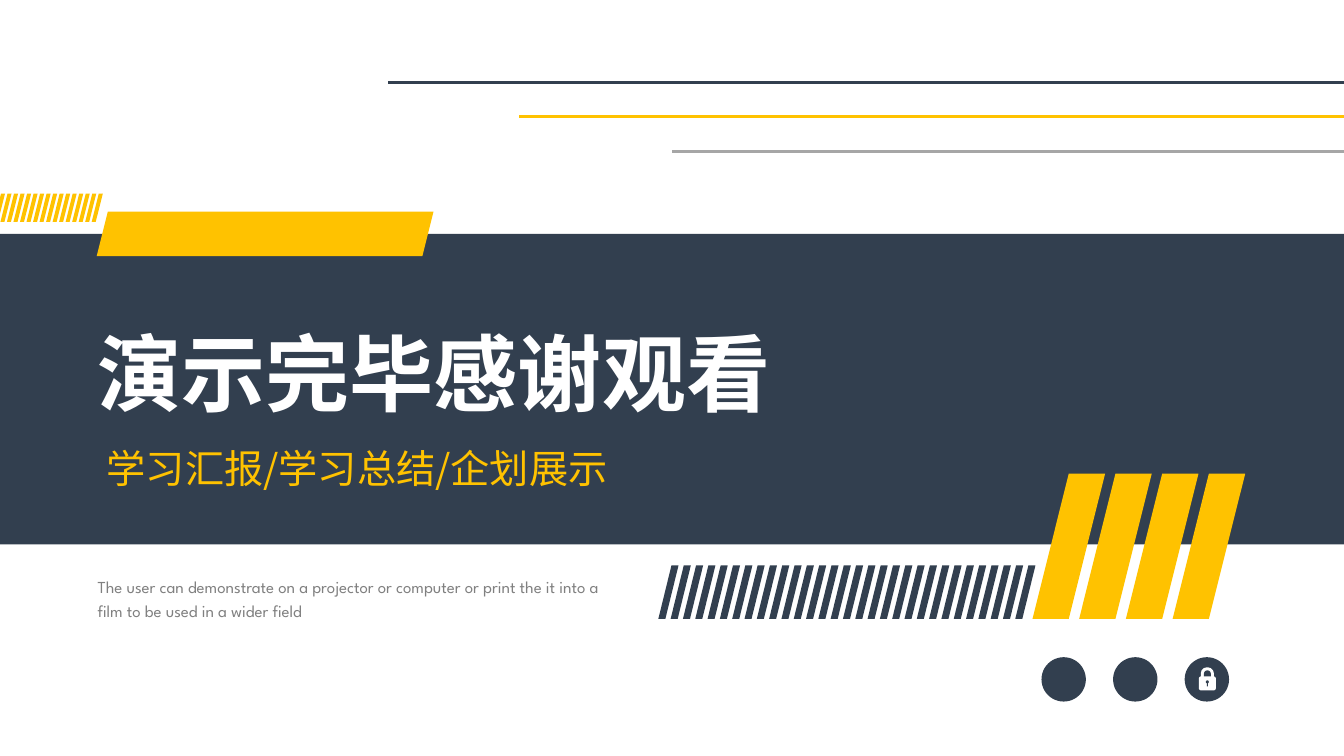
import pptx
import pptx.dml.color
import pptx.enum.shapes
import pptx.enum.text
import pptx.oxml
import pptx.oxml.ns
import pptx.util

Inches = pptx.util.Inches
Pt = pptx.util.Pt
RGBColor = pptx.dml.color.RGBColor
SHAPE = pptx.enum.shapes.MSO_SHAPE
ALIGN = pptx.enum.text.PP_ALIGN

NAVY = RGBColor(0x32, 0x3F, 0x4F)
YELLOW = RGBColor(0xFF, 0xC2, 0x00)
GRAY = RGBColor(0xA6, 0xA6, 0xA6)
TEXT_GRAY = RGBColor(0x80, 0x80, 0x80)
WHITE = RGBColor(0xFF, 0xFF, 0xFF)

SLIDE_WIDTH = 13.33
SLIDE_HEIGHT = 7.5
CHINESE_FONT = "Noto Sans CJK SC"
LATIN_FONT = "League Spartan"


def add_filled_shape(slide, kind, box, color):
    shape = slide.shapes.add_shape(kind, *map(Inches, box))
    shape.shadow.inherit = False
    shape.fill.solid()
    shape.fill.fore_color.rgb = color
    shape.line.fill.background()
    return shape


def add_rule(slide, left, top, color):
    connector = slide.shapes.add_connector(
        pptx.enum.shapes.MSO_CONNECTOR.STRAIGHT,
        Inches(left), Inches(top), Inches(SLIDE_WIDTH), Inches(top))
    connector.line.color.rgb = color
    connector.line.width = Pt(2.25)
    properties = connector._element.spPr
    properties.append(pptx.oxml.parse_xml(
        f"<a:effectLst {pptx.oxml.ns.nsdecls('a')}/>"))


def add_stripes(slide, box, count, stripe_width, slant, color):
    left, top, width, height = box
    pitch = (width - stripe_width) / (count - 1)
    for index in range(count):
        stripe_box = (left + index * pitch, top, stripe_width, height)
        stripe = add_filled_shape(slide, SHAPE.PARALLELOGRAM, stripe_box, color)
        stripe.adjustments[0] = slant / stripe_width


def write_text(shape, box, text, alignment, font_values, color):
    for name, value in zip(("left", "top", "width", "height"), box):
        setattr(shape, name, Inches(value))
    frame_values = {
        "word_wrap": True,
        "auto_size": pptx.enum.text.MSO_AUTO_SIZE.NONE,
        "vertical_anchor": pptx.enum.text.MSO_ANCHOR.TOP,
    }
    for name, value in frame_values.items():
        setattr(shape.text_frame, name, value)
    paragraph = shape.text_frame.paragraphs[0]
    paragraph_values = {
        "alignment": alignment, "line_spacing": 1.2, "space_before": Pt(0)}
    for name, value in paragraph_values.items():
        setattr(paragraph, name, value)
    run = paragraph.add_run()
    run.text = text
    for name, value in font_values.items():
        setattr(run.font, name, value)
    run.font.color.rgb = color
    east_asian = pptx.oxml.parse_xml(
        f"<a:ea {pptx.oxml.ns.nsdecls('a')} typeface=\"{font_values['name']}\"/>")
    run._r.get_or_add_rPr().append(east_asian)
    tree = shape._element.getparent()
    tree.append(shape._element)


def add_header_rules(slide, top):
    rules = [(3.85, NAVY), (5.15, YELLOW), (6.67, GRAY)]
    for index, (left, color) in enumerate(rules):
        add_rule(slide, left, top + index * 0.34, color)


def add_title_band(slide, box):
    left, top, width, height = box
    add_filled_shape(slide, SHAPE.RECTANGLE, box, NAVY)
    add_filled_shape(
        slide, SHAPE.PARALLELOGRAM, (left + 0.96, top - 0.22, 3.34, 0.44), YELLOW)
    add_stripes(slide, (left - 0.06, top - 0.4, 1.08, 0.28), 16, 0.11, 0.07, YELLOW)
    write_text(
        slide.shapes.title, (left + 0.87, top + 0.62, 9.6, 1.21),
        "演示完毕感谢观看", ALIGN.JUSTIFY,
        {"name": CHINESE_FONT, "size": Pt(60), "bold": True}, WHITE)
    write_text(
        slide.placeholders[1], (left + 0.96, top + 1.94, 7.32, 0.67),
        "学习汇报/学习总结/企划展示", ALIGN.JUSTIFY,
        {"name": CHINESE_FONT, "size": Pt(28), "bold": False}, YELLOW)


def add_footer(slide, left, top):
    note_box = (left, top, 5.23, 0.56)
    note = slide.shapes.add_textbox(*map(Inches, note_box))
    write_text(
        note, note_box,
        "The user can demonstrate on a projector or computer or print the it "
        "into a film to be used in a wider field",
        ALIGN.LEFT, {"name": LATIN_FONT, "size": Pt(12)}, TEXT_GRAY)
    add_stripes(slide, (left + 5.66, top - 0.02, 3.74, 0.53), 30, 0.2, 0.13, NAVY)
    add_stripes(slide, (left + 9.37, top - 0.93, 2.11, 1.44), 4, 0.72, 0.36, YELLOW)


def add_padlock(slide, left, top):
    parts = [
        (SHAPE.ROUND_2_SAME_RECTANGLE, (0.02, 0, 0.13, 0.12), WHITE, 0.5),
        (SHAPE.ROUND_2_SAME_RECTANGLE, (0.05, 0.03, 0.07, 0.09), NAVY, 0.5),
        (SHAPE.ROUNDED_RECTANGLE, (0, 0.09, 0.17, 0.14), WHITE, 0.17),
        (SHAPE.OVAL, (0.07, 0.13, 0.03, 0.03), NAVY, None),
        (SHAPE.RECTANGLE, (0.08, 0.14, 0.01, 0.05), NAVY, None),
    ]
    for kind, (x, y, width, height), color, rounding in parts:
        part = add_filled_shape(slide, kind, (left + x, top + y, width, height), color)
        if rounding:
            part.adjustments[0] = rounding


def add_icons(slide, box):
    left, top, width, diameter = box
    pitch = (width - diameter) / 2
    for index in range(3):
        add_filled_shape(
            slide, SHAPE.OVAL, (left + index * pitch, top, diameter, diameter), NAVY)
    add_padlock(slide, left + 2 * pitch + 0.14, top + 0.1)


def build_closing_slide(presentation):
    slide = presentation.slides.add_slide(presentation.slide_layouts[0])
    slide.background.fill.solid()
    slide.background.fill.fore_color.rgb = WHITE
    add_header_rules(slide, 0.82)
    add_title_band(slide, (0, 2.32, SLIDE_WIDTH, 3.08))
    add_footer(slide, 0.87, 5.63)
    add_icons(slide, (10.33, 6.52, 1.86, 0.44))


def main():
    presentation = pptx.Presentation()
    presentation.slide_width = Inches(SLIDE_WIDTH)
    presentation.slide_height = Inches(SLIDE_HEIGHT)
    build_closing_slide(presentation)
    presentation.save("out.pptx")


if __name__ == "__main__":
    main()
